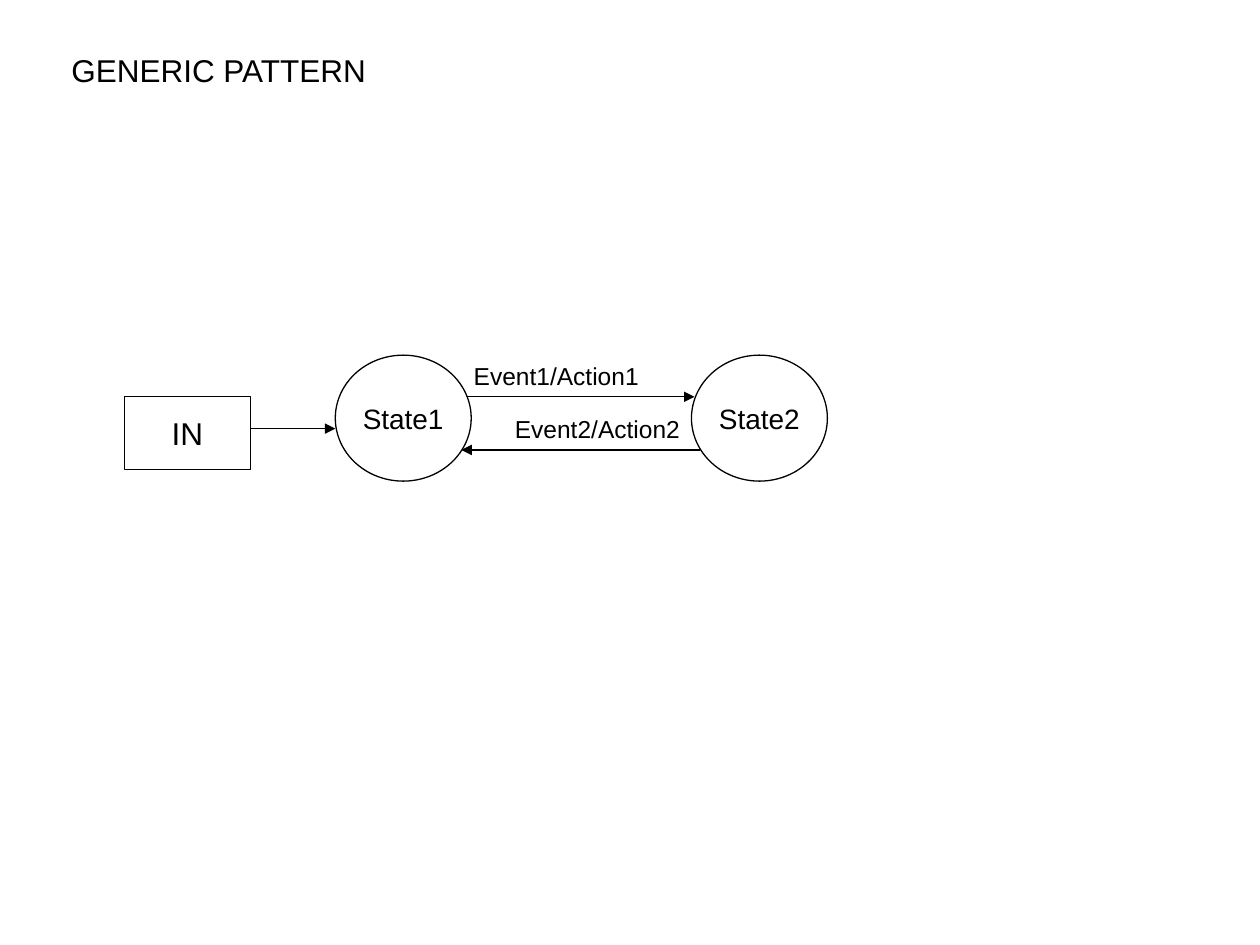
from lxml import etree
from pptx import Presentation
from pptx.dml.color import RGBColor
from pptx.enum.shapes import MSO_CONNECTOR, MSO_SHAPE
from pptx.enum.text import MSO_ANCHOR, MSO_AUTO_SIZE, PP_ALIGN
from pptx.oxml.ns import qn
from pptx.util import Cm, Pt

BLACK = RGBColor(0x00, 0x00, 0x00)
FONT = "Arial"
LINE_WIDTH = Pt(0.75)


def write_text(shape, text, size, alignment):
    text_frame = shape.text_frame
    text_frame.text = text
    text_frame.word_wrap = False
    paragraph = text_frame.paragraphs[0]
    paragraph.alignment = alignment
    font = paragraph.runs[0].font
    font.name, font.size = FONT, Pt(size)
    font.color.rgb = BLACK


def add_node(slide, kind, left, top, width, height, text, size):
    """Outlined shape with centred text."""
    shape = slide.shapes.add_shape(kind, Cm(left), Cm(top), Cm(width), Cm(height))
    shape.shadow.inherit = False
    shape.fill.background()
    shape.line.color.rgb = BLACK
    shape.line.width = LINE_WIDTH
    write_text(shape, text, size, PP_ALIGN.CENTER)
    shape.text_frame.vertical_anchor = MSO_ANCHOR.MIDDLE


def add_label(slide, left, top, width, height, text, size):
    label = slide.shapes.add_textbox(Cm(left), Cm(top), Cm(width), Cm(height))
    write_text(label, text, size, PP_ALIGN.LEFT)
    label.text_frame.auto_size = MSO_AUTO_SIZE.SHAPE_TO_FIT_TEXT


def add_arrow(slide, start, end, y):
    """Horizontal arrow pointing at its end."""
    arrow = slide.shapes.add_connector(
        MSO_CONNECTOR.STRAIGHT, Cm(start), Cm(y), Cm(end), Cm(y))
    arrow.line.color.rgb = BLACK
    arrow.line.width = LINE_WIDTH
    etree.SubElement(arrow.line._get_or_add_ln(), qn("a:tailEnd"), type="triangle")
    etree.SubElement(arrow._element.spPr, qn("a:effectLst"))


def add_state_diagram(slide, left, top):
    # States
    for x, name in ((4.25, "State1"), (11.43, "State2")):
        add_node(slide, MSO_SHAPE.OVAL, left + x, top, 2.74, 2.54, name, 16)

    # Transitions between the states
    add_arrow(slide, left + 6.91, left + 11.49, top + 0.84)
    add_arrow(slide, left + 11.61, left + 6.79, top + 1.91)
    for x, y, text in ((6.79, 0, "Event1/Action1"), (7.62, 1.07, "Event2/Action2")):
        add_label(slide, left + x, top + y, 3.84, 0.86, text, 14)

    # Entry point
    add_node(slide, MSO_SHAPE.RECTANGLE, left, top + 0.84, 2.54, 1.47, "IN", 18)
    add_arrow(slide, left + 2.54, left + 4.25, top + 1.48)


def main():
    presentation = Presentation()
    presentation.slide_width, presentation.slide_height = Cm(25.4), Cm(19.05)
    slide = presentation.slides.add_slide(presentation.slide_layouts[6])
    add_state_diagram(slide, 2.51, 7.16)
    # Heading
    add_label(slide, 1.19, 0.91, 6.53, 1.02, "GENERIC PATTERN", 18)
    presentation.save("out.pptx")


if __name__ == "__main__":
    main()
